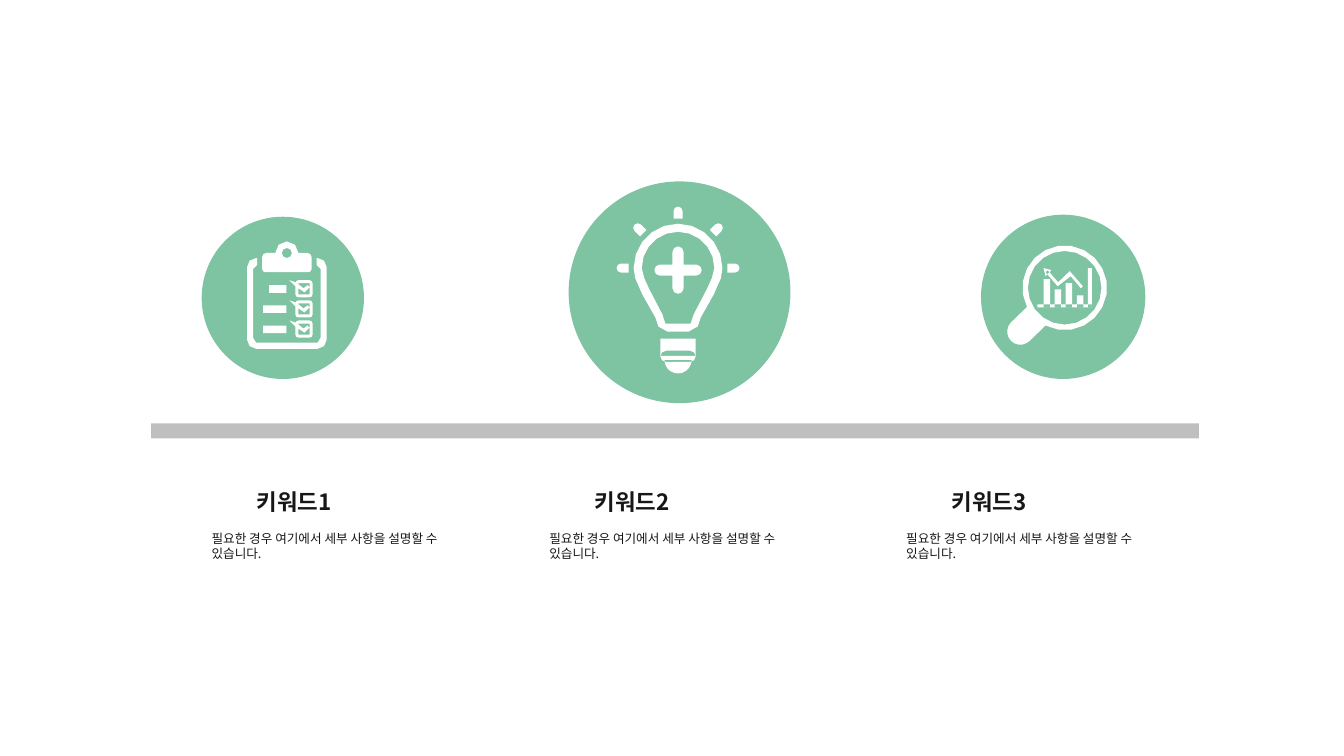
from dataclasses import dataclass
from math import cos, radians, sin

from lxml.etree import SubElement
from pptx import Presentation
from pptx.dml.color import RGBColor
from pptx.enum.shapes import MSO_SHAPE
from pptx.oxml.ns import qn
from pptx.util import Inches, Pt


@dataclass(frozen=True)
class Theme:
    """Colours, type sizes and the side of one grid cell in inches."""
    font: str = "Noto Sans CJK KR"
    ink: str = "181717"
    accent: str = "7EC3A2"
    bar: str = "BFBFBF"
    icon: str = "FFFFFF"
    heading_size: int = 16
    body_size: int = 9
    cell: float = 0.1


def arc(x, y, radius, start, end):
    """Return points along an arc, with angles in degrees clockwise."""
    steps = round((end - start) / (45 if radius < 1.2 else 18))
    angles = [radians(start + (end - start) * i / steps) for i in range(steps + 1)]
    return [(x + radius * cos(a), y + radius * sin(a)) for a in angles]


def circle(x, y, radius):
    """Return a full circle."""
    return arc(x, y, radius, 0, 360)[:-1]


def block(left, top, width, height):
    """Return a plain rectangle."""
    right, bottom = left + width, top + height
    return [(left, top), (right, top), (right, bottom), (left, bottom)]


def rounded(left, top, width, height, radius):
    """Return a rectangle with rounded corners."""
    x1, x2 = left + radius, left + width - radius
    y1, y2 = top + radius, top + height - radius
    corners = [(x2, y1, -90), (x2, y2, 0), (x1, y2, 90), (x1, y1, 180)]
    return [point for x, y, start in corners
            for point in arc(x, y, radius, start, start + 90)]


def mirrored(axis, half):
    """Join the right half of an outline to its reflection."""
    return half + [(2 * axis - x, y) for x, y in reversed(half)]


def turned(points, x, y, angle):
    """Rotate points around a centre."""
    c, s = cos(radians(angle)), sin(radians(angle))
    return [(x + (px - x) * c - (py - y) * s, y + (px - x) * s + (py - y) * c)
            for px, py in points]


def clipboard():
    """Return the outlines of a clipboard with a checklist."""
    axis = 28.45
    edge = ([(31.4, 25.6)] + arc(31.5, 26.5, 0.9, -90, 0)
            + arc(31.5, 33.7, 0.9, 0, 90))
    inside = [(31.4, 26.3), (31.8, 26.7), (31.8, 33.5), (31.5, 34)]
    clip = (arc(axis, 25.1, 1.15, -90, 0) + arc(30.5, 25.5, 0.4, -90, 0)
            + arc(30.6, 26.7, 0.3, 0, 90))
    outlines = [mirrored(axis, edge) + mirrored(axis, inside)[::-1],
                mirrored(axis, clip), circle(axis, 25.1, 0.5)]
    for top, left in [(27.8, 26.7), (29.8, 26.1), (31.8, 26.1)]:
        outlines += [
            block(left, top + 0.5, 28.4 - left, 0.75),
            rounded(29.3, top, 1.7, 1.7, 0.3),
            block(29.6, top + 0.3, 1.1, 1.1),
            [(28.7, top), (29.3, top + 0.2), (29.3, top + 0.6)],
            [(29.6, top + 0.4), (30.1, top + 0.8), (30.5, top + 0.5),
             (30.7, top + 0.7), (30.2, top + 1.2), (29.6, top + 0.8)],
        ]
    return outlines


def bulb():
    """Return the outlines of a light bulb with a plus sign and rays."""
    x, y = 67.25, 26.6
    glass = arc(x, y, 4.4, -90, 0) + [
        (71.5, 27.6), (70.8, 29.2), (69.5, 31.5), (69.2, 32.4), (68.3, 32.9)]
    hollow = arc(x, y, 3.6, -90, 0) + [
        (70.6, 27.6), (70.1, 28.7), (68.8, 31.2), (68.5, 32.1)]
    arm = arc(x, y - 1.6, 0.55, -180, 0) + [(x + 0.55, y - 0.35)]
    plus = [point for angle in range(0, 360, 90)
            for point in turned(arm, x, y + 0.2, angle)]
    ray = arc(x, 20.95, 0.45, -180, 0) + [(x + 0.45, 21.7), (x - 0.45, 21.7)]
    rays = [turned(ray, x, y, angle) for angle in range(-90, 91, 45)]
    socket = [block(65.5, 33.6, 3.5, 1.7), rounded(65.5, 34.8, 3.5, 1.1, 0.55),
              arc(x, 35.7, 1.35, 0, 180)]
    return [mirrored(x, glass), mirrored(x, hollow), plus, *rays, *socket]


def magnifier():
    """Return the outlines of a magnifying glass over a chart."""
    x, y = 105.6, 28.55
    rim = arc(x, y, 4.2, 153, 477) + arc(101.2, 32.9, 1.3, 45, 225)
    tops = [27.7, 28.7, 28.1, 29.3]
    columns = [block(103.5 + 1.1 * i, top, 0.65, 30.5 - top)
               for i, top in enumerate(tops)]
    trend = [(103.9, 26.8), (104.95, 28), (106.1, 26.9), (107.4, 28.4),
             (107.2, 28.6), (106.2, 27.4), (104.9, 28.4), (103.7, 27)]
    arrow = [(103.5, 26.6), (104.3, 26.8), (103.7, 27.4)]
    return [rim, circle(x, y, 3.65), *columns, trend, arrow,
            block(107.9, 26.6, 0.4, 3.9), block(102.9, 30.2, 5.4, 0.3)]


class Page:
    """Draw themed elements on one slide, measured in grid cells."""

    def __init__(self, slide, theme):
        """Keep the slide and its theme."""
        self.shapes, self.theme = slide.shapes, theme

    def cells(self, *counts):
        """Turn grid cells into lengths."""
        return [Inches(count * self.theme.cell) for count in counts]

    def paint(self, shape, colour):
        """Give a shape a flat fill without line or shadow."""
        shape.shadow.inherit = False
        shape.fill.solid()
        shape.fill.fore_color.rgb = RGBColor.from_string(colour)
        shape.line.fill.background()

    def preset(self, kind, colour, *place):
        """Add a preset shape."""
        self.paint(self.shapes.add_shape(kind, *self.cells(*place)), colour)

    def icon(self, outlines):
        """Add one freeform made of several outlines."""
        builder = None
        for outline in outlines:
            first, *rest = [self.cells(*point) for point in outline]
            if builder is None:
                builder = self.shapes.build_freeform(*first)
            else:
                builder.move_to(*first)
            builder.add_line_segments(rest, close=True)
        self.paint(builder.convert_to_shape(), self.theme.icon)

    def text(self, words, size, bold, *place):
        """Add a text box with one paragraph."""
        frame = self.shapes.add_textbox(*self.cells(*place)).text_frame
        frame.word_wrap = True
        para = frame.paragraphs[0]
        para.text = words
        font = para.font
        font.size, font.bold, font.name = Pt(size), bold, self.theme.font
        font.color.rgb = RGBColor.from_string(self.theme.ink)
        properties = para._p.pPr.find(qn("a:defRPr"))
        SubElement(properties, qn("a:ea"), typeface=self.theme.font)


def main():
    """Build the three-keyword slide."""
    theme = Theme()
    deck = Presentation()
    deck.slide_width, deck.slide_height = Inches(13.33), Inches(7.5)
    page = Page(deck.slides.add_slide(deck.slide_layouts[6]), theme)
    page.preset(MSO_SHAPE.RECTANGLE, theme.bar, 15, 42, 103.9, 1.5)
    keywords = [
        (20, 21.5, 16.1, clipboard, 20),
        (56.4, 18, 22, bulb, 53.5),
        (97.3, 21.3, 16.3, magnifier, 88.9),
    ]
    for number, (left, top, size, outlines, column) in enumerate(keywords, 1):
        page.preset(MSO_SHAPE.OVAL, theme.accent, left, top, size, size)
        page.icon(outlines())
        page.text("필요한 경우 여기에서 세부 사항을 설명할 수 있습니다.",
                  theme.body_size, False, column, 52.2, 27.7, 6.1)
        page.text(f"키워드{number}", theme.heading_size, True,
                  column + 4.5, 47.9, 24, 3.8)
    deck.save("out.pptx")


if __name__ == "__main__":
    main()
